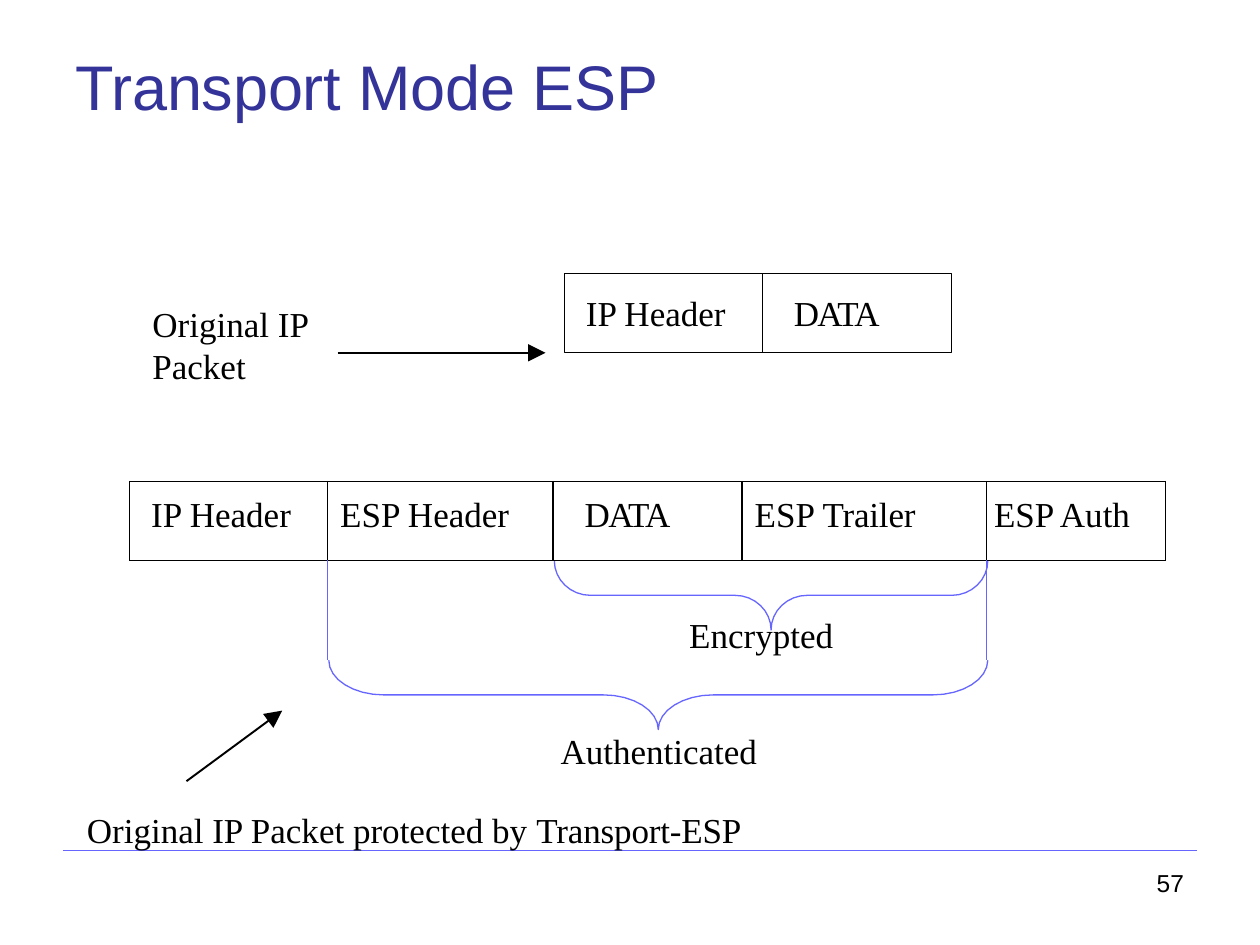
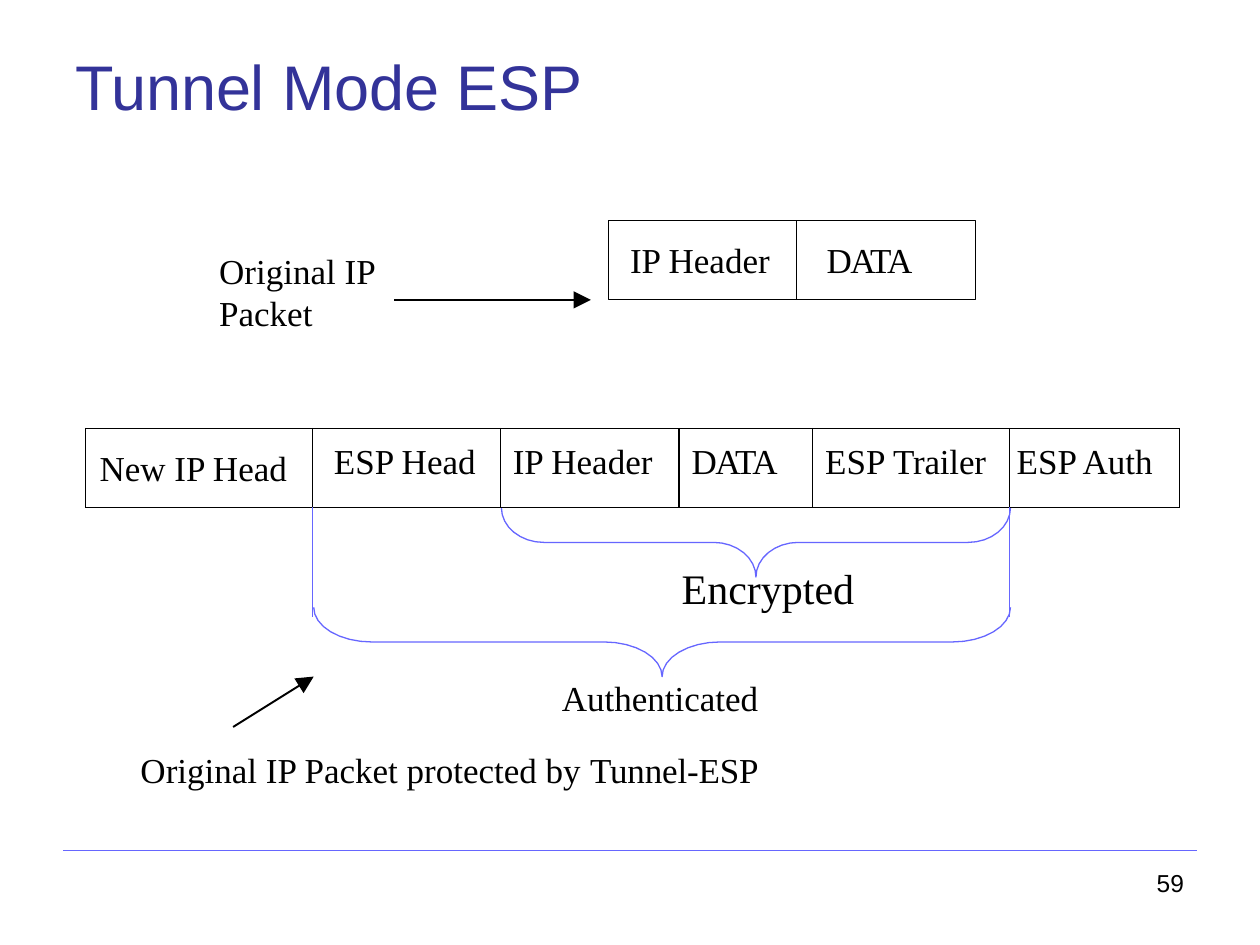
"""Builds two slides that compare ESP packets in transport mode and tunnel mode."""
from dataclasses import dataclass
from itertools import accumulate
from math import cos, pi, sin

from lxml.etree import SubElement
from pptx import Presentation
from pptx.dml.color import RGBColor
from pptx.enum.shapes import MSO_CONNECTOR as Link, MSO_SHAPE as Preset
from pptx.enum.text import PP_ALIGN as Align
from pptx.oxml.ns import qn
from pptx.util import Inches, Pt


@dataclass(frozen=True)
class Theme:
    ink: str = "000000"
    heading: str = "333399"
    accent: str = "6666FF"
    sans: str = "Arial"
    serif: str = "Times New Roman"
    title_size: int = 36
    body_size: int = 20
    number_size: int = 14
    hairline: float = 0.75
    arrow_line: float = 1.1


theme = Theme()
COLUMNS, ROWS = 100, 75
CELL = 0.1
BRACE_HEIGHT = 5.5
BRACE_GAP = 7.9
ARC = [step * pi / 16 for step in range(9)]


def grid(*cells):
    """Turn grid columns or rows into lengths."""
    return [Inches(cell * CELL) for cell in cells]


def write(holder, runs, top=0.0, indent=0.0, size=theme.body_size, face=theme.serif,
          color=theme.ink, align=Align.LEFT, before=0):
    """Add one paragraph of (text, letter spacing) runs to a text frame or table cell."""
    frame = getattr(holder, "text_frame", holder)
    holder.margin_left = holder.margin_right = holder.margin_bottom = 0
    holder.margin_top, margin = grid(top, indent)
    frame.word_wrap = True
    paragraph = frame.add_paragraph() if frame.text else frame.paragraphs[0]
    paragraph.alignment = align
    paragraph.space_before = Pt(before)
    paragraph._p.get_or_add_pPr().set("marL", str(margin))
    for text, spacing in runs:
        run = paragraph.add_run()
        run.text = text
        run.font.size, run.font.name = Pt(size), face
        run.font.color.rgb = RGBColor.from_string(color)
        if spacing:
            run._r.get_or_add_rPr().set("spc", str(spacing))


data = [("DATA", -90)]
ip_header = [("IP Header", 0)]
trailer = [("ESP ", 0), ("Trailer", -10)]
auth = [("ESP Auth", 0)]

modes = [
    dict(name="Transport", number="57", packet_top=21.7, packet_left=44.8,
         packet_widths=(15.7, 15), data_indent=2.5, label_left=12, pointer=(26.8, 43.3),
         left=10.3, widths=(15.7, 17.9, 15, 19.4, 14.2), lower=7.9,
         fields=[(ip_header, 1.7, 1.2), ([("ESP Header", 0)], 1, 1.2), (data, 2.5, 1.2),
                 (trailer, 1, 1.2), (auth, 0.6, 1.2)],
         encrypted=(4.5, 28.7, 20), caption=(6.8, 53.3), caption_align=Align.LEFT,
         caption_gap=21, caption_arrow=(14.8, 62, 22.4, 56.4)),
    dict(name="Tunnel", number="59", packet_top=17.5, packet_left=48.3,
         packet_widths=(14.9, 14.2), data_indent=2.4, label_left=17.3, pointer=(31.3, 46.9),
         left=6.8, widths=(18, 14.9, 14.2, 10.6, 15.6, 13.5), lower=8.7,
         fields=[([("New IP Head", 0)], 1.1, 1.7), ([("ESP Head", 0)], 1.7, 1.2),
                 (ip_header, 1, 1.2), (data, 1, 1.2), (trailer, 1, 1.2), (auth, 0.6, 1.2)],
         encrypted=(4.7, 29.3, 24), caption=(9.9, 50.3), caption_align=Align.RIGHT,
         caption_gap=17, caption_arrow=(18.5, 57.7, 24.9, 53.7)),
]

deck = Presentation()
deck.slide_width, deck.slide_height = grid(COLUMNS, ROWS)

for mode in modes:
    slide = deck.slides.add_slide(deck.slide_layouts[6])
    shapes = slide.shapes
    packet_top, packet_left = mode["packet_top"], mode["packet_left"]
    field_height = 6.3
    protected_top = packet_top + 16.5
    field_bottom = protected_top + field_height

    title = shapes.add_textbox(*grid(5.9, 3.2, 60, 6.3)).text_frame
    write(title, [(f"{mode['name']} Mode ", -10), ("ESP", 0)], top=0.6, indent=0.1,
          size=theme.title_size, face=theme.sans, color=theme.heading)

    ip_width, data_width = mode["packet_widths"]
    for runs, left, width, indent in [
            (data, packet_left + ip_width, data_width, mode["data_indent"]),
            (ip_header, packet_left, ip_width, 1.7)]:
        field = shapes.add_shape(Preset.RECTANGLE, *grid(left, packet_top, width, field_height))
        field.shadow.inherit = False
        field.fill.background()
        field.line.color.rgb = RGBColor.from_string(theme.ink)
        field.line.width = Pt(theme.hairline)
        field.text_frame.vertical_anchor = 1
        write(field.text_frame, runs, top=1.4, indent=indent)

    label = shapes.add_textbox(*grid(mode["label_left"], packet_top + 1.9, 19, 7)).text_frame
    write(label, [("Original IP Packet", 0)], top=0.4, indent=0.1)

    pointer_start, pointer_end = mode["pointer"]
    pointer_row = packet_top + 6.3
    for ends, color, weight, pointed in [
            ((5, 67.5, 95, 67.5), theme.accent, theme.hairline, False),
            ((pointer_start, pointer_row, pointer_end, pointer_row),
             theme.ink, theme.arrow_line, True),
            (mode["caption_arrow"], theme.ink, theme.arrow_line, True)]:
        rule = shapes.add_connector(Link.STRAIGHT, *grid(*ends))
        rule.line.color.rgb = RGBColor.from_string(color)
        rule.line.width = Pt(weight)
        if pointed:
            SubElement(rule.line._get_or_add_ln(), qn("a:tailEnd"),
                       type="triangle", w="lg", len="lg")
        SubElement(rule._element.spPr, qn("a:effectLst"))

    edges = list(accumulate(mode["widths"], initial=mode["left"]))
    for first_edge, top in [(2, field_bottom), (1, field_bottom + BRACE_GAP)]:
        start, end = edges[first_edge] + 0.1, edges[-2] + 0.1
        middle, reach, drop = (start + end) / 2, (end - start) / 12, BRACE_HEIGHT / 2
        half = [(start + reach * (1 - cos(a)), top + drop * sin(a)) for a in ARC]
        half += [(middle - reach + reach * sin(a), top + drop * (2 - cos(a))) for a in ARC]
        outline = half + [(start + end - x, y) for x, y in reversed(half)]
        points = [grid(x, y) for x, y in outline]
        builder = shapes.build_freeform(*points[0])
        builder.add_line_segments(points[1:], close=False)
        brace = builder.convert_to_shape()
        brace.shadow.inherit = False
        brace.fill.background()
        brace.line.color.rgb = RGBColor.from_string(theme.accent)
        brace.line.width = Pt(theme.hairline)

    count = len(mode["widths"])
    protected = shapes.add_table(2, count, *grid(
        mode["left"], protected_top, sum(mode["widths"]), field_height + mode["lower"])).table
    protected.first_row = protected.horz_banding = False
    protected.rows[0].height, protected.rows[1].height = grid(field_height, mode["lower"])
    for column, width in zip(protected.columns, mode["widths"]):
        column.width, = grid(width)
    protected.cell(1, 1).merge(protected.cell(1, count - 2))
    for column, (runs, indent, top) in enumerate(mode["fields"]):
        write(protected.cell(0, column), runs, top=top, indent=indent)
        for row in range(2):
            cell = protected.cell(row, column)
            cell.fill.background()
            below = [theme.accent if column > 0 else None,
                     theme.accent if column < count - 1 else None, theme.ink, None]
            colors = below if row else [theme.ink] * 4
            properties = cell._tc.get_or_add_tcPr()
            for place, (side, color) in enumerate(zip(("lnL", "lnR", "lnT", "lnB"), colors)):
                border = SubElement(properties, qn(f"a:{side}"), w=str(Pt(theme.hairline)))
                properties.insert(place, border)
                if color:
                    paint = SubElement(border, qn("a:solidFill"))
                    SubElement(paint, qn("a:srgbClr"), val=color)
                else:
                    SubElement(border, qn("a:noFill"))
    top, indent, size = mode["encrypted"]
    write(protected.cell(1, 1), [("Encrypted", 0)], top=top, indent=indent, size=size)

    caption_left, caption_width = mode["caption"]
    caption = shapes.add_textbox(*grid(
        caption_left, packet_top + 35.8, caption_width, 9.5)).text_frame
    write(caption, [("Authenticated", 0)], top=0.4, align=Align.RIGHT)
    write(caption, [("Original IP Packet protected by ", 0), (f"{mode['name']}-ESP", -10)],
          top=0.4, indent=0.1, align=mode["caption_align"], before=mode["caption_gap"])

    number = shapes.add_textbox(*grid(91.4, 68.8, 3, 2.5)).text_frame
    write(number, [(mode["number"], 0)], top=0.1, indent=0.4,
          size=theme.number_size, face=theme.sans)

deck.save("out.pptx")
